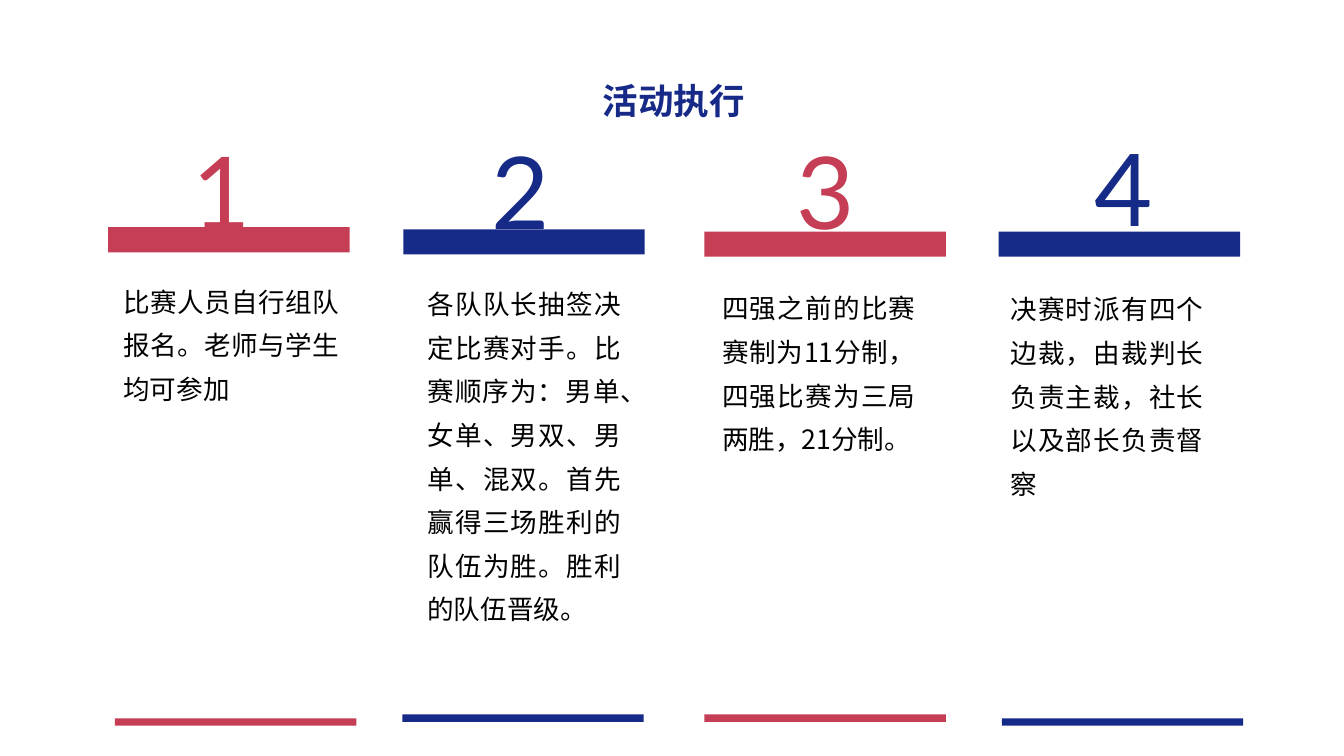
from collections import namedtuple

from lxml import etree
from pptx import Presentation
from pptx.dml.color import RGBColor
from pptx.enum import shapes, text
from pptx.oxml import ns
from pptx.util import Pt

COLORS = {"red": "C63E55", "blue": "162A88", "title": "172A88", "body": "000000"}
HAN_FONT = "Noto Sans CJK SC"
DIGIT_FONT = "Lato"

Box = namedtuple("Box", "left top width height")
Step = namedtuple("Step", "box color digit_at body_at body_size foot_x wording")

# Each box runs from the top of the header bar to the bottom of the foot bar;
# digit_at, body_at and foot_x are offsets from its top left corner.
STEPS = [
    Step(Box(73.3, 153.9, 163.5, 337.6), "red", (26.8, -81.2), (10.2, 31.9),
         (146.2, 87.8), 4.5, "比赛人员自行组队报名。老师与学生均可参加"),
    Step(Box(273.1, 155.4, 163.5, 333.5), "blue", (29.3, -82.7), (16.3, 30.4),
         (131, 239), -0.7,
         "各队队长抽签决定比赛对手。比赛顺序为：男单、女单、男双、男单、混双。"
         "首先赢得三场胜利的队伍为胜。胜利的队伍晋级。"),
    Step(Box(477, 156.9, 163.5, 332), "red", (32, -84.2), (11.9, 33.2),
         (131, 118), 0, "四强之前的比赛赛制为11分制，四强比赛为三局两胜，21分制。"),
    Step(Box(676.2, 156.9, 163.5, 334.6), "blue", (34.4, -86.3), (7.8, 33.2),
         (131, 149), 2.1, "决赛时派有四个边裁，由裁判长负责主裁，社长以及部长负责督察"),
]


def add_bar(page, box, color):
    bar = page.shapes.add_shape(shapes.MSO_SHAPE.RECTANGLE, *map(Pt, box))
    bar.shadow.inherit = False
    bar.fill.solid()
    bar.fill.fore_color.rgb = RGBColor.from_string(COLORS[color])
    bar.line.fill.background()


def add_text(page, box, wording, size, font, color, align, spacing, bold=False):
    frame = page.shapes.add_textbox(*map(Pt, box)).text_frame
    frame.word_wrap = True
    frame.auto_size = text.MSO_AUTO_SIZE.SHAPE_TO_FIT_TEXT
    frame.vertical_anchor = text.MSO_ANCHOR.MIDDLE
    frame.margin_left = frame.margin_right = 0
    frame.margin_top = frame.margin_bottom = 0
    para = frame.paragraphs[0]
    para.alignment = align
    para.line_spacing = spacing
    span = para.add_run()
    span.text = wording
    span.font.size = Pt(size)
    span.font.bold = bold
    span.font.color.rgb = RGBColor.from_string(COLORS[color])
    span.font.name = font
    east_asian = etree.SubElement(span.font._element, ns.qn("a:ea"))
    east_asian.set("typeface", font)


def add_title(page, box):
    add_text(page, box, "活动执行", 24, HAN_FONT, "title",
             text.PP_ALIGN.CENTER, 1.16, bold=True)


def add_step(page, number, step):
    """Place header bar, digit, foot bar and wording of one step in its box."""
    left, top, width, height = step.box
    bar_height, foot_height = 17, 5
    digit_x, digit_y = step.digit_at
    body_x, body_y = step.body_at
    add_bar(page, Box(left, top, width, bar_height), step.color)
    add_text(page, Box(left + digit_x, top + digit_y, 100, 98), str(number), 68,
             DIGIT_FONT, step.color, text.PP_ALIGN.CENTER, 1.16)
    add_bar(page, Box(left + step.foot_x, top + height - foot_height,
                      width, foot_height), step.color)
    add_text(page, Box(left + body_x, top + body_y, *step.body_size), step.wording,
             18, HAN_FONT, "body", text.PP_ALIGN.JUSTIFY, Pt(29.5))


def main():
    deck = Presentation()
    deck.slide_width, deck.slide_height = Pt(910), Pt(512)
    page = deck.slides.add_slide(deck.slide_layouts[6])
    add_title(page, Box(395.3, 48.2, 121.7, 35.3))
    for number, step in enumerate(STEPS, start=1):
        add_step(page, number, step)
    deck.save("out.pptx")


if __name__ == "__main__":
    main()
